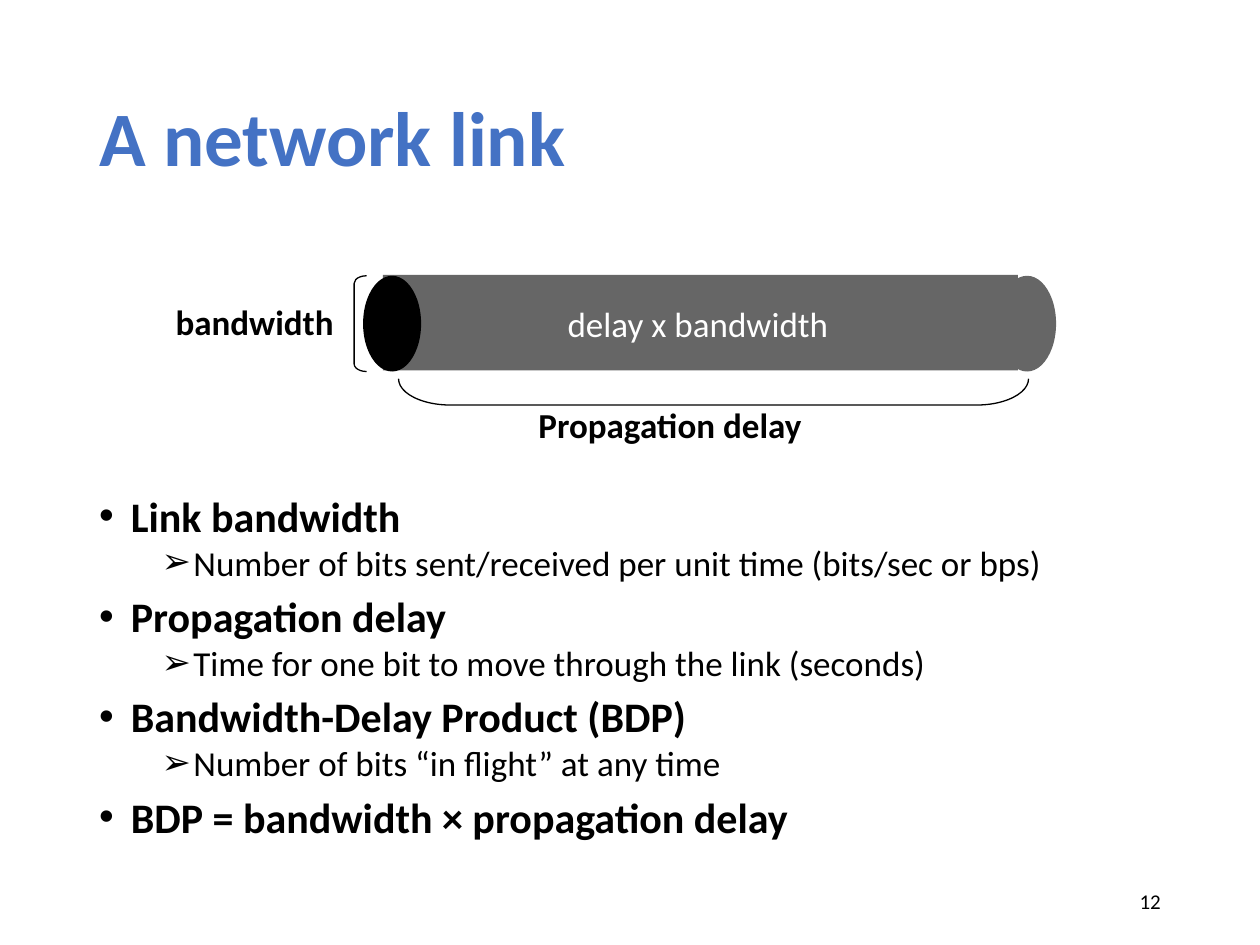
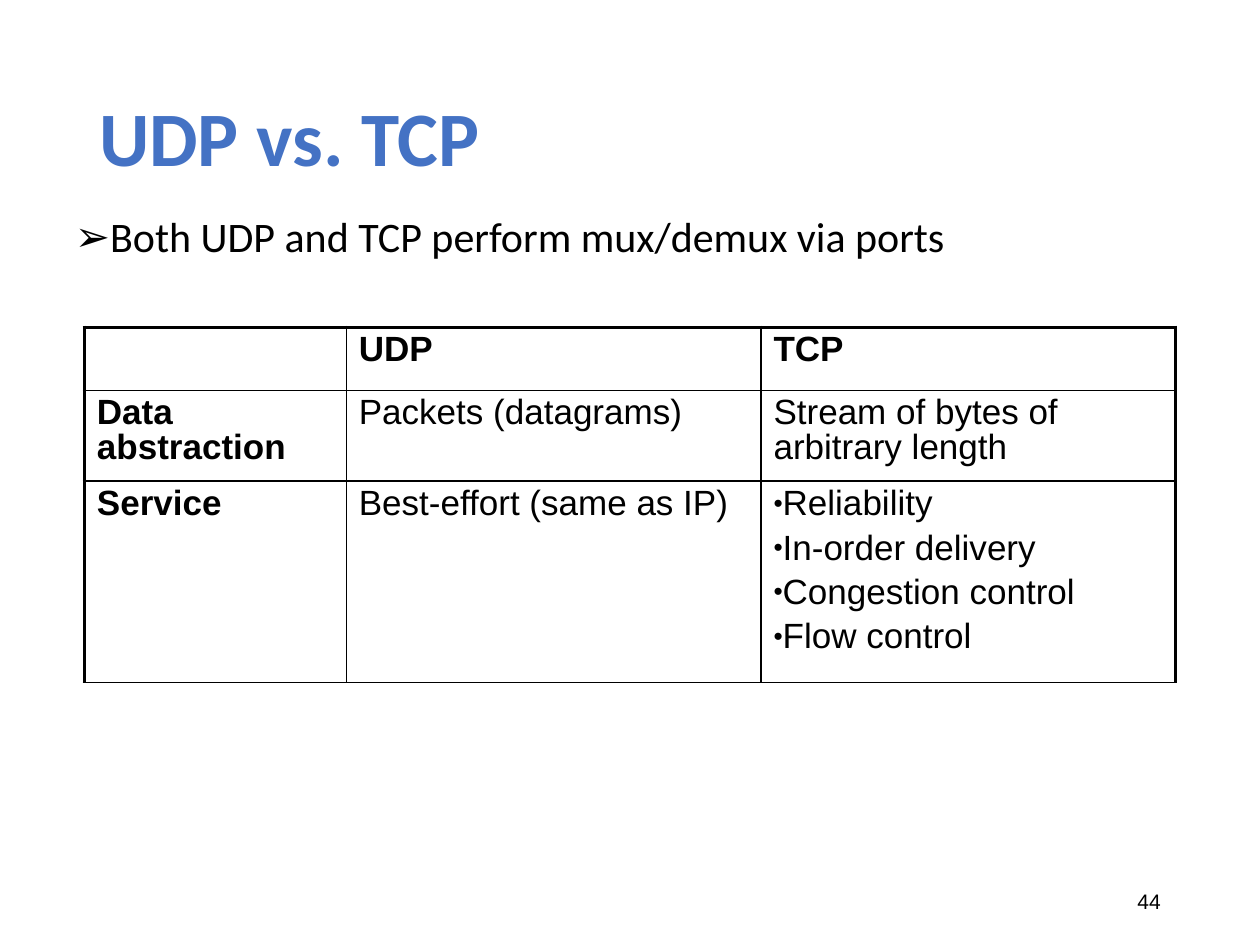
"""Build two networking slides: a link's bandwidth and delay, and UDP against TCP."""
import pptx
import pptx.util
import pptx.dml.color
import pptx.enum.shapes
import pptx.enum.text
import pptx.oxml.ns
import lxml.etree

Cm, Pt = pptx.util.Cm, pptx.util.Pt
KIND = pptx.enum.shapes.MSO_SHAPE
ALIGN = pptx.enum.text.PP_ALIGN
MID = pptx.enum.text.MSO_ANCHOR.MIDDLE
FIT = pptx.enum.text.MSO_AUTO_SIZE.SHAPE_TO_FIT_TEXT

HUES = {"title": "4472C4", "ink": "000000", "pipe": "666666", "light": "FFFFFF"}
SANS, ARIAL = "Calibri", "Arial"
TITLE = (1.75, 1.02, 21.9, 3.68)
PAGE = (17.93, 17.65, 5.72, 1.02)
LEVELS = [
    {"mark": "•", "left": 0.64, "gap": 10, "size": 24, "bold": True},
    {"mark": "➢", "left": 1.9, "gap": 5, "size": 20, "bold": False},
]
HANG = 0.64

POINTS = [
    (0, "Link bandwidth"),
    (1, "Number of bits sent/received per unit time (bits/sec or bps)"),
    (0, "Propagation delay"),
    (1, "Time for one bit to move through the link (seconds)"),
    (0, "Bandwidth-Delay Product (BDP)"),
    (1, "Number of bits “in flight” at any time"),
    (0, "BDP = bandwidth × propagation delay"),
]
PIPE = [
    (KIND.OVAL, (20.12, 5.56, 1.17, 1.93), "pipe"),
    (KIND.RECTANGLE, (7.72, 5.54, 12.8, 1.93), "pipe"),
    (KIND.OVAL, (7.32, 5.56, 1.17, 1.93), "ink"),
]
BRACES = [
    ((7.14, 5.56, 0.25, 1.93), 0, 0.61),
    ((14.12, 1.55, 0.53, 12.7), 270, 1.98),
]
LABELS = [
    ("bandwidth", (3.25, 5.94, 3.73, 1.12), "ink", True),
    ("Propagation delay", (10.54, 8, 5.87, 1.12), "ink", True),
    ("delay x bandwidth", (11.13, 5.97, 5.82, 1.12), "light", False),
]
CLAIM = [(1, "Both UDP and TCP perform mux/demux via ports")]
GRID = [
    ["", "UDP", "TCP"],
    ["Data abstraction", "Packets (datagrams)", "Stream of bytes of arbitrary length"],
    ["Service", "Best-effort (same as IP)",
     ["Reliability", "In-order delivery", "Congestion control", "Flow control"]],
]
COLS, ROWS = [5.28, 8.36, 8.36], [1.27, 1.83, 4.06]
THIN, THICK = 1, 2.25


def color(name):
    return pptx.dml.color.RGBColor.from_string(HUES[name])


def cms(box):
    return [Cm(part) for part in box]


def style(para, size, hue="ink", bold=False, face=SANS):
    for run in para.runs:
        font = run.font
        font.name, font.size, font.bold = face, Pt(size), bold
        font.color.rgb = color(hue)


def node(host, tag, **attrs):
    return lxml.etree.SubElement(host, pptx.oxml.ns.qn("a:" + tag), attrs)


def bullet(para, mark, left=0, hang=0, scale=100):
    props = para._p.get_or_add_pPr()
    props.set("marL", str(Cm(left)))
    props.set("indent", str(-Cm(hang)))
    node(props, "buSzPct", val=str(scale * 1000))
    node(props, "buFont", typeface=ARIAL)
    node(props, "buChar", char=mark)


def fill(frame, lines):
    frame.text = "\n".join(lines)
    return frame.paragraphs


def label(slide, text, box, size, hue="ink", bold=False, face=SANS, side=ALIGN.RIGHT):
    shape = slide.shapes.add_textbox(*cms(box))
    frame = shape.text_frame
    frame.text, frame.word_wrap = text, True
    para = frame.paragraphs[0]
    para.alignment = side
    style(para, size, hue, bold, face)
    return frame


def start(deck, title, page, face):
    slide = deck.slides.add_slide(deck.slide_layouts[6])
    head = label(slide, title, TITLE, 44, "title", True, side=ALIGN.LEFT)
    head.paragraphs[0].line_spacing = 0.9
    foot = label(slide, page, PAGE, 12, face=face)
    head.vertical_anchor = foot.vertical_anchor = MID
    return slide


def outline(slide, items, box, pitch, size=None):
    frame = slide.shapes.add_textbox(*cms(box)).text_frame
    frame.word_wrap = True
    paras = fill(frame, [text for _, text in items])
    for rank, (para, (depth, _)) in enumerate(zip(paras, items)):
        level = LEVELS[depth]
        para.level, para.line_spacing = depth, pitch
        para.space_before = Pt(level["gap"] if rank else 0)
        bullet(para, level["mark"], level["left"], HANG)
        style(para, size or level["size"], bold=level["bold"])


def draw(slide, kind, box):
    shape = slide.shapes.add_shape(kind, *cms(box))
    shape.shadow.inherit = False
    return shape


def link(slide):
    for kind, box, hue in PIPE:
        shape = draw(slide, kind, box)
        shape.fill.solid()
        shape.fill.fore_color.rgb = color(hue)
        shape.line.fill.background()
    for box, turn, bend in BRACES:
        shape = draw(slide, KIND.LEFT_BRACKET, box)
        shape.rotation, shape.adjustments[0] = turn, bend
        shape.fill.background()
        shape.line.color.rgb = color("ink")
        shape.line.width = Pt(0.75)
    for text, box, hue, bold in LABELS:
        frame = label(slide, text, box, 20, hue, bold)
        frame.word_wrap, frame.auto_size = False, FIT


def edge(cell, row, col):
    thick = {"lnL": col == 0, "lnR": col == len(COLS) - 1, "lnT": row == 0, "lnB": False}
    props = cell._tc.get_or_add_tcPr()
    for tag, heavy in thick.items():
        line = node(props, tag, w=str(Pt(THICK if heavy else THIN)))
        node(node(line, "solidFill"), "srgbClr", val=HUES["ink"])
    cell.fill.background()


def compare(slide):
    box = (1.7, 6.6, sum(COLS), sum(ROWS))
    table = slide.shapes.add_table(len(ROWS), len(COLS), *cms(box)).table
    table.first_row = table.horz_banding = False
    for col, width in zip(table.columns, COLS):
        col.width = Cm(width)
    for row, height in zip(table.rows, ROWS):
        row.height = Cm(height)
    for r, texts in enumerate(GRID):
        for c, text in enumerate(texts):
            cell = table.cell(r, c)
            edge(cell, r, c)
            many = isinstance(text, list)
            for para in fill(cell.text_frame, text if many else [text]):
                para.line_spacing, para.space_before = 0.9, Pt(5.3)
                if many:
                    bullet(para, "•", scale=75)
                style(para, 20, bold=r == 0 or c == 0, face=ARIAL)


deck = pptx.Presentation()
deck.slide_width, deck.slide_height = Cm(25.4), Cm(19.05)

slide = start(deck, "A network link", "12", SANS)
outline(slide, POINTS, (1.75, 9.96, 21.9, 7.21), 0.8)
link(slide)

slide = start(deck, "UDP vs. TCP", "44", ARIAL)
compare(slide)
outline(slide, CLAIM, (0, 4.24, 22.43, 1.9), 0.9, 24)

deck.save("out.pptx")
